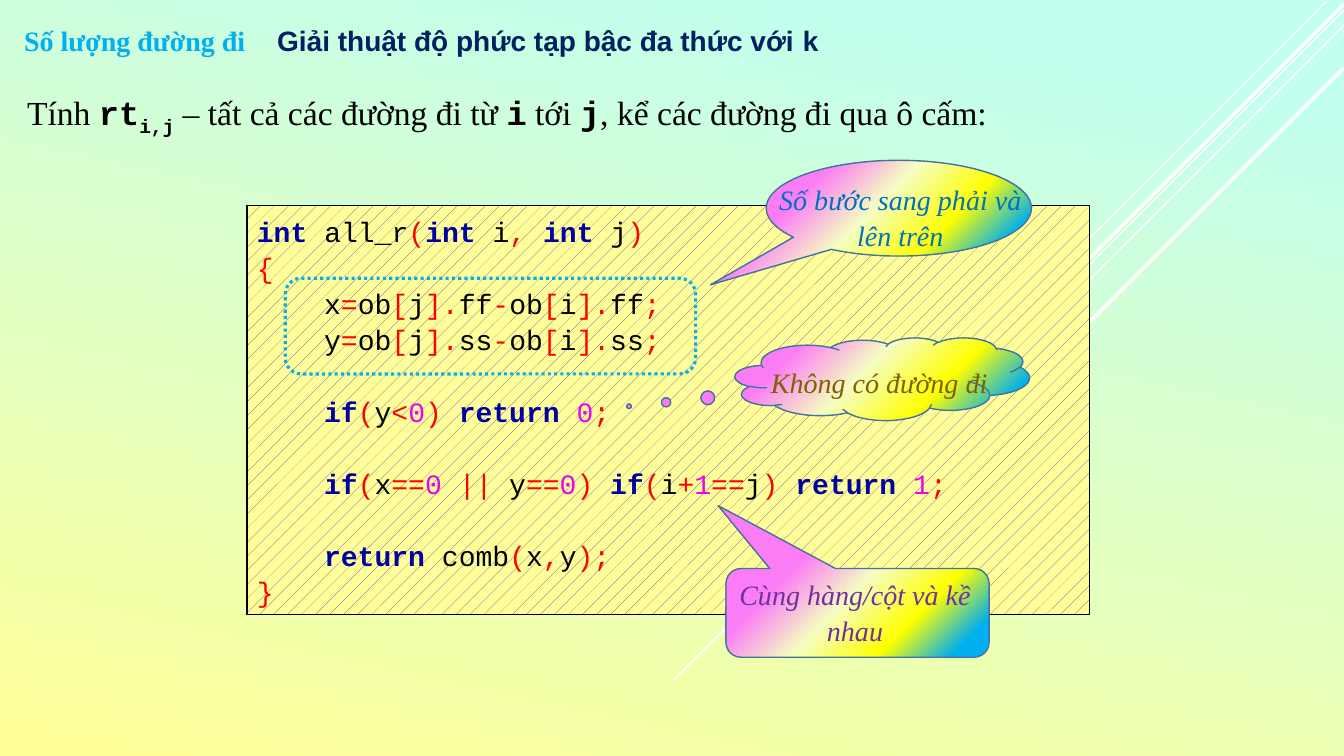
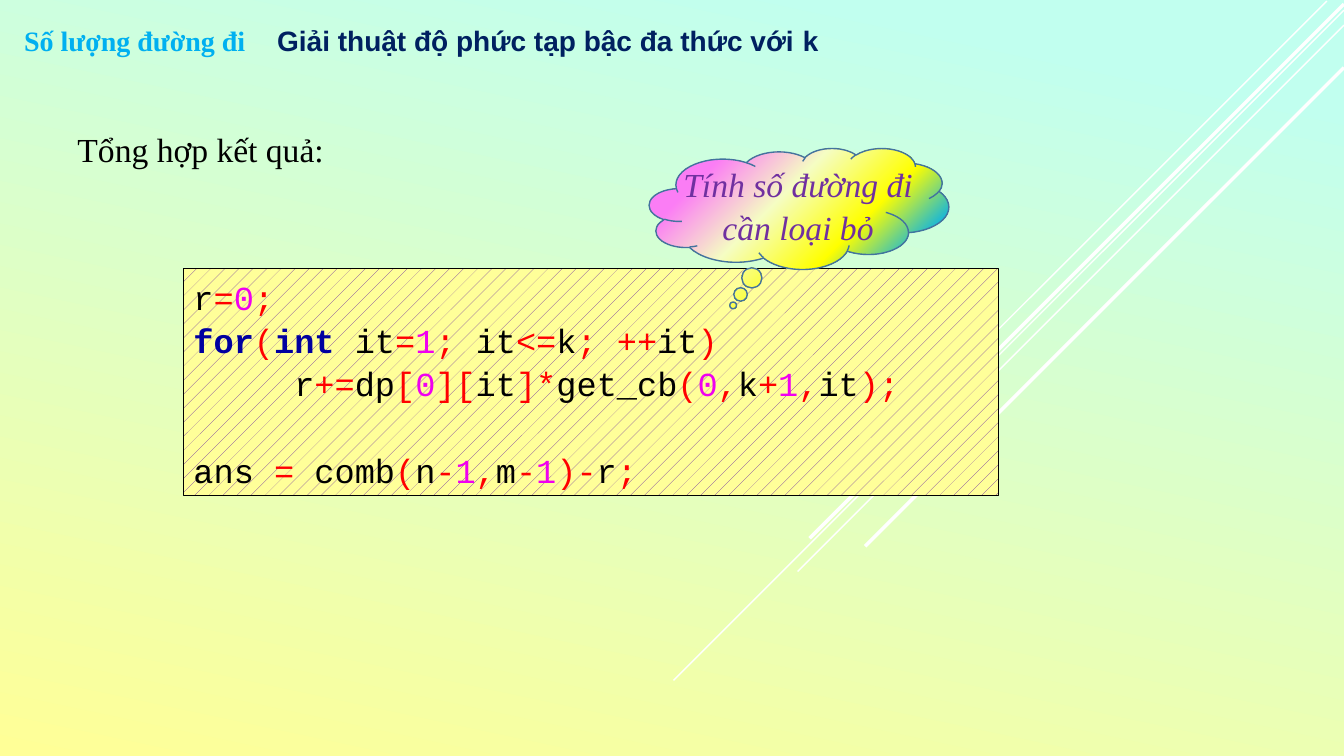
import copy
import itertools

import lxml.etree
import pptx
import pptx.dml.color
import pptx.enum.dml
import pptx.enum.shapes
import pptx.enum.text
import pptx.oxml.ns
import pptx.util

Inches = pptx.util.Inches
Pt = pptx.util.Pt
RGBColor = pptx.dml.color.RGBColor
Shape = pptx.enum.shapes.MSO_SHAPE
Align = pptx.enum.text.PP_ALIGN
qualified = pptx.oxml.ns.qn

WHITE = RGBColor(0xFF, 0xFF, 0xFF)
BLACK = RGBColor(0x00, 0x00, 0x00)
MINT = RGBColor(0xC1, 0xFF, 0xEF)
PALE_YELLOW = RGBColor(0xFF, 0xFF, 0x97)
CODE_YELLOW = RGBColor(0xFF, 0xFF, 0x99)
SKY = RGBColor(0x00, 0xB0, 0xF0)
NAVY = RGBColor(0x00, 0x20, 0x60)
BLUE = RGBColor(0x00, 0x70, 0xC0)
PURPLE = RGBColor(0x70, 0x30, 0xA0)
OLIVE = RGBColor(0x80, 0x60, 0x00)
STEEL = RGBColor(0x43, 0x73, 0x9E)
YELLOW = RGBColor(0xFF, 0xFF, 0x00)
CREAM = RGBColor(0xF5, 0xFD, 0xC3)
PINK = RGBColor(0xFB, 0x7D, 0xF5)
KEYWORD = RGBColor(0x00, 0x00, 0xA0)
OPERATOR = RGBColor(0xFF, 0x00, 0x00)
NUMBER = RGBColor(0xF0, 0x00, 0xF0)

SERIF = "Times New Roman"
SANS = "Arial"
MONO = "Courier New"
LINE_SPACING = 1.07
LINE_PITCH = 1.285
MONO_ADVANCE = 0.6
KEYWORDS = {"int", "if", "for", "return"}

BACKGROUND_STOPS = [(0.1, MINT), (1, PALE_YELLOW)]
CALLOUT_STOPS = [(0.11, SKY), (0.32, YELLOW), (0.57, CREAM), (0.81, PINK)]
DIAGONALS = [
    (13.16, 0.01, 4.16, 1),
    (13.33, 0.1, 6.65, 1),
    (13.33, 0.25, 5.42, 1),
    (13.33, 0.04, 5.3, 2.5),
    (13.33, 0.67, 4.75, 2.5),
]

ALL_ROUTES_CODE = """int all_r(int i, int j)
{
    x=ob[j].ff-ob[i].ff;
    y=ob[j].ss-ob[i].ss;

    if(y<0) return 0;

    if(x==0 || y==0) if(i+1==j) return 1;

    return comb(x,y);
}"""
RESULT_CODE = """r=0;
for(int it=1; it<=k; ++it)
     r+=dp[0][it]*get_cb(0,k+1,it);

ans = comb(n-1,m-1)-r;"""


def write_run(paragraph, text, *, size=20, font=SERIF, color=BLACK, bold=False, italic=False, baseline=None):
    run = paragraph.add_run()
    run.text = text
    run.font.size = Pt(size)
    run.font.name = font
    run.font.color.rgb = color
    run.font.bold = bold
    run.font.italic = italic
    if baseline is not None:
        run.font._element.set("baseline", str(baseline * 1000))


def fill_gradient(fill, element, stops, clockwise_angle):
    fill.gradient()
    stop_list = next(element.iter(qualified("a:gsLst")))
    for _ in stops[2:]:
        stop_list.append(copy.deepcopy(stop_list[0]))
    for stop, (position, color) in zip(fill.gradient_stops, stops):
        stop.position = position
        stop.color.rgb = color
    fill.gradient_angle = 360 - clockwise_angle


def character_class(character):
    if character.isspace():
        return "space"
    return "word" if character.isalnum() or character == "_" else "operator"


def token_color(token, token_class):
    if token_class == "operator":
        return OPERATOR
    if token in KEYWORDS:
        return KEYWORD
    return NUMBER if token.isdigit() else BLACK


class Deck:
    """Holds the shared style and the slide being drawn."""

    def __init__(self):
        self.presentation = pptx.Presentation()
        self.presentation.slide_width = Inches(13.33)
        self.presentation.slide_height = Inches(7.5)
        master = self.presentation.slide_master
        fill_gradient(master.background.fill, master.element, BACKGROUND_STOPS, 102)
        self.slide = None

    def new_slide(self):
        self.slide = self.presentation.slides.add_slide(self.presentation.slide_layouts[6])
        for diagonal in DIAGONALS:
            self.diagonal(*diagonal)
        self.text((0.14, 0.18, 2.51, 0.44), [("Số lượng đường đi", {})], color=SKY, bold=True)
        self.text(
            (2.65, 0.18, 8.88, 0.44),
            [("Giải thuật độ phức tạp bậc đa thức với ", {"font": SANS}), ("k", {"font": MONO})],
            color=NAVY, bold=True,
        )

    def diagonal(self, left, top, run, width):
        connector = self.slide.shapes.add_connector(
            pptx.enum.shapes.MSO_CONNECTOR.STRAIGHT,
            Inches(left), Inches(top), Inches(left - run), Inches(top + run),
        )
        connector.line.color.rgb = WHITE
        connector.line.width = Pt(width)
        properties = connector.element.find(qualified("p:spPr"))
        lxml.etree.SubElement(properties, qualified("a:effectLst"))

    def text(self, box, runs, wrap=True, align=Align.LEFT, spacing=None, **style):
        text_box = self.slide.shapes.add_textbox(*map(Inches, box))
        text_box.text_frame.word_wrap = wrap
        paragraph = text_box.text_frame.paragraphs[0]
        paragraph.alignment = align
        paragraph.line_spacing = spacing
        for text, changes in runs:
            write_run(paragraph, text, **{**style, **changes})
        return text_box

    def shape(self, kind, box, line_color, line_width, adjustments=()):
        shape = self.slide.shapes.add_shape(kind, *map(Inches, box))
        shape.shadow.inherit = False
        shape.fill.background()
        shape.line.color.rgb = line_color
        shape.line.width = Pt(line_width)
        for index, value in enumerate(adjustments):
            shape.adjustments[index] = value
        return shape

    def dotted_frame(self, box):
        frame = self.shape(Shape.ROUNDED_RECTANGLE, box, SKY, 2.25)
        frame.line.dash_style = pptx.enum.dml.MSO_LINE.ROUND_DOT

    def callout(self, kind, box, adjustments, text, text_box, color, size=20):
        bubble = self.shape(kind, box, STEEL, 1, adjustments)
        fill_gradient(bubble.fill, bubble.element, CALLOUT_STOPS, 225)
        label = self.text(
            text_box, [(text, {})], align=Align.CENTER, spacing=LINE_SPACING,
            color=color, size=size, italic=True,
        )
        self.slide.shapes.add_group_shape([bubble, label])

    def code(self, box, source, size):
        panel = self.shape(Shape.RECTANGLE, box, BLACK, 0.75)
        panel.fill.patterned()
        panel.fill.pattern = pptx.enum.dml.MSO_PATTERN.PERCENT_5
        panel.fill.fore_color.rgb = PURPLE
        panel.fill.back_color.rgb = CODE_YELLOW
        frame = panel.text_frame
        frame.word_wrap = True
        frame.vertical_anchor = pptx.enum.text.MSO_ANCHOR.MIDDLE
        paragraph, gap = frame.paragraphs[0], 0
        for number, line in enumerate(source.splitlines()):
            code = line.lstrip()
            if not code:
                gap += size * LINE_PITCH
                continue
            if number:
                paragraph = frame.add_paragraph()
            paragraph.alignment = Align.LEFT
            paragraph.line_spacing = LINE_SPACING
            paragraph.space_before, gap = Pt(gap), 0
            indent = Pt((len(line) - len(code)) * size * MONO_ADVANCE)
            properties = paragraph._p.get_or_add_pPr()
            properties.set("marL", str(indent))
            properties.set("indent", "0")
            for token_class, characters in itertools.groupby(code, character_class):
                token = "".join(characters)
                write_run(
                    paragraph, token, size=size, font=MONO,
                    color=token_color(token, token_class), bold=token in KEYWORDS,
                )


def main():
    deck = Deck()

    deck.new_slide()
    mono = {"font": MONO, "bold": True}
    deck.text(
        (0.17, 0.86, 9.93, 0.5),
        [
            ("Tính ", {}), ("rt", mono), ("i,j", {**mono, "baseline": -25}),
            (" – tất cả các đường đi từ ", {}), ("i", mono), (" tới ", {}), ("j", mono),
            (", kể các đường đi qua ô cấm:", {}),
        ],
        wrap=False, size=24,
    )
    deck.code((2.45, 2.04, 8.36, 4.06), ALL_ROUTES_CODE, 20)
    deck.dotted_frame((2.83, 2.76, 4.07, 0.95))
    deck.callout(
        Shape.OVAL_CALLOUT, (7.6, 1.59, 2.63, 0.95), (-0.71, 0.8),
        "Số bước sang phải và lên trên", (7.6, 1.74, 2.66, 1.07), BLUE,
    )
    deck.callout(
        Shape.CLOUD_CALLOUT, (7.29, 3.35, 2.92, 0.82), (-0.86, 0.33),
        "Không có đường đi", (7.33, 3.55, 2.78, 0.62), OLIVE,
    )
    deck.callout(
        Shape.ROUNDED_RECTANGULAR_CALLOUT, (7.2, 5.64, 2.61, 0.88), (-0.53, -1.21, 0.17),
        "Cùng hàng/cột và kề nhau", (7.09, 5.66, 2.78, 1.11), PURPLE,
    )

    deck.new_slide()
    deck.text((0.67, 1.2, 2.67, 0.53), [("Tổng hợp kết quả:", {})], wrap=False, spacing=LINE_SPACING, size=24)
    deck.code((1.82, 2.66, 8.08, 2.26), RESULT_CODE, 24)
    deck.callout(
        Shape.CLOUD_CALLOUT, (6.44, 1.47, 2.97, 1.2), (-0.22, 0.8),
        "Tính số đường đi cần loại bỏ", (6.61, 1.55, 2.61, 1.55), PURPLE, 24,
    )

    deck.presentation.save("out.pptx")


if __name__ == "__main__":
    main()
